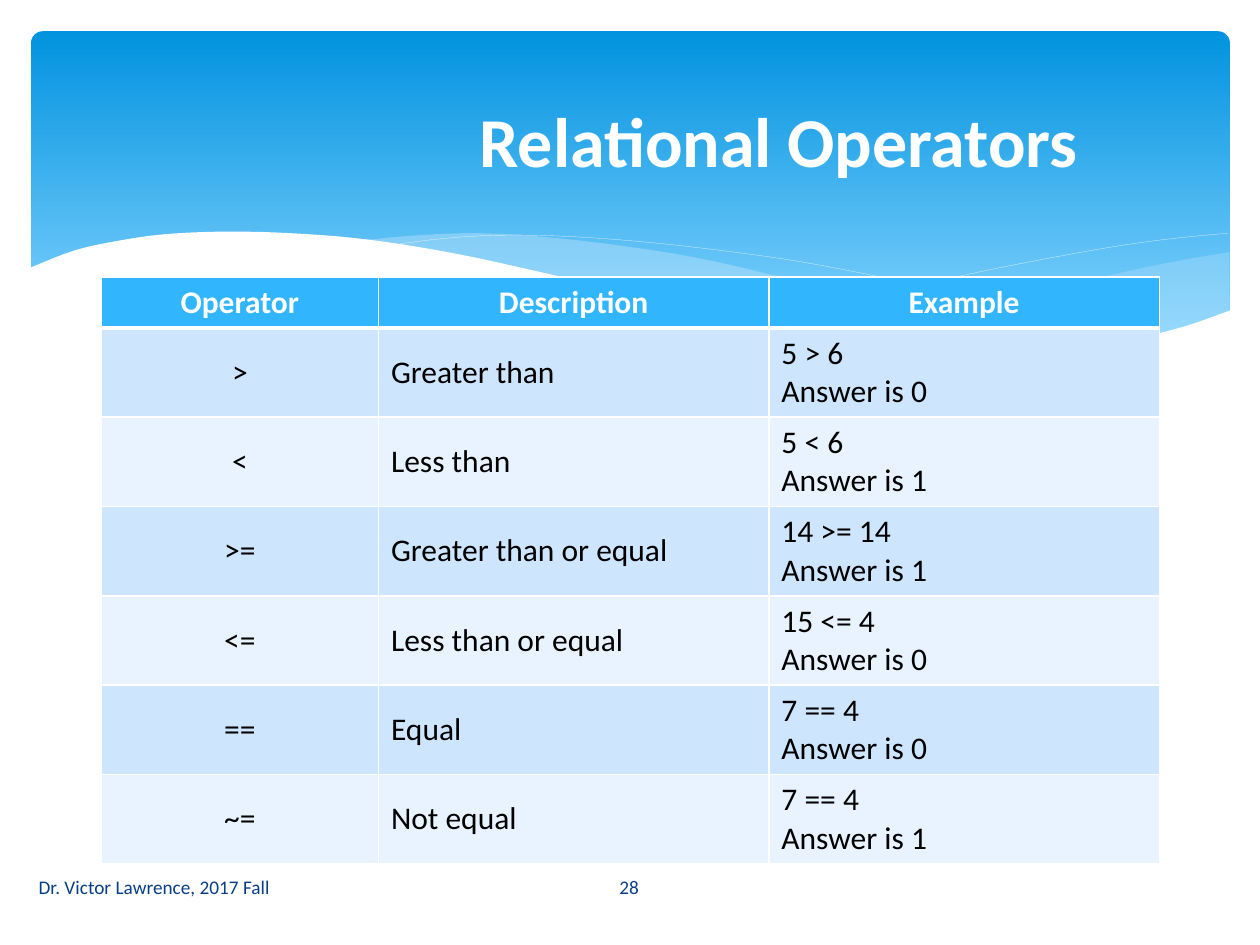
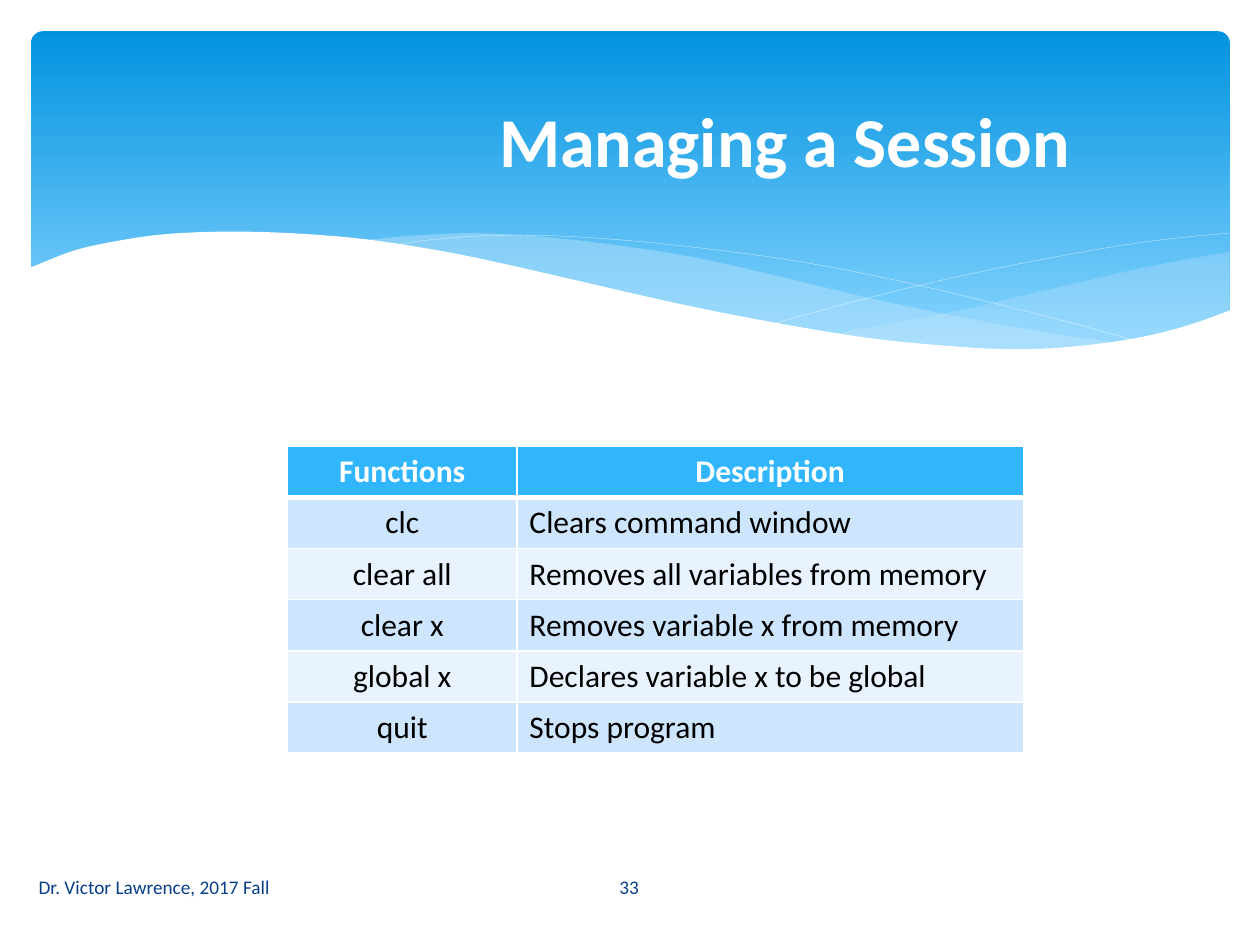
import dataclasses

import pptx
import pptx.dml.color
import pptx.enum.shapes
import pptx.enum.text
import pptx.oxml
import pptx.oxml.ns
import pptx.util

Cm = pptx.util.Cm
Pt = pptx.util.Pt
Rgb = pptx.dml.color.RGBColor.from_string
Align = pptx.enum.text.PP_ALIGN
Anchor = pptx.enum.text.MSO_ANCHOR
qn = pptx.oxml.ns.qn


@dataclasses.dataclass(frozen=True)
class Theme:
    font: str = "Calibri"
    title_size: int = 40
    table_size: int = 18
    footer_size: int = 11
    white: str = "FFFFFF"
    ink: str = "000000"
    footer: str = "073E87"
    band_top: str = "0293E0"
    band_bottom: str = "83D3FE"
    wave: str = "C6E7FC"
    header: str = "31B6FD"
    stripes: tuple = ("CEE5FE", "E8F3FF")


# Wave outlines: points in cm that a smooth curve runs through
RIGHT_WAVE_TOP = [
    (24.79, 5.08), (23.75, 5.26), (22.63, 5.49), (21.13, 5.84), (19.13, 6.3),
    (16.79, 6.73)]
RIGHT_WAVE_BOTTOM = [
    (16.79, 6.73), (17.55, 6.83), (18.59, 6.96), (19.53, 7.04), (20.68, 7.06),
    (21.92, 6.99), (22.99, 6.83), (23.93, 6.58), (24.79, 6.27)]
MIDDLE_WAVE_TOP = [
    (22.68, 6.93), (21.26, 6.73), (19.69, 6.45), (17.93, 6.1), (15.98, 5.64),
    (14.45, 5.28), (13.06, 5.03), (11.23, 4.8), (9.65, 4.7), (8.33, 4.75),
    (7.26, 4.85)]
MIDDLE_WAVE_BOTTOM = [
    (7.26, 4.85), (8.69, 5.05), (10.26, 5.36), (11.4, 5.64), (13.46, 6.1),
    (15.27, 6.48), (16.89, 6.76), (18.34, 6.96), (19.94, 7.06), (21.29, 7.06),
    (22.68, 6.93)]
FALLING_LINE = [
    (7.85, 4.95), (8.74, 4.83), (9.83, 4.75), (11, 4.75), (12.42, 4.83),
    (14.12, 5), (16.15, 5.28), (18.47, 5.74), (21.11, 6.38), (23.04, 6.91)]
RISING_LINE = [
    (15.57, 6.53), (17.65, 5.97), (19.71, 5.49), (22, 5.05), (23.47, 4.83),
    (24.77, 4.7)]
FRONT_WAVE_TOP = [
    (24.82, 6.25), (23.88, 6.58), (22.83, 6.83), (21.59, 6.99), (20.55, 7.04),
    (19.33, 6.99), (17.48, 6.81), (15.32, 6.45), (13.44, 6.07), (11.35, 5.59),
    (9.27, 5.13), (7.42, 4.83), (5.84, 4.7), (4.5, 4.67), (3.35, 4.72),
    (2.41, 4.85), (1.5, 5.05), (0.58, 5.41)]
FRONT_WAVE_BASE = [(0.58, 8.36), (24.82, 8.36)]


def smooth(knots, steps=5):
    """Return points on a Catmull-Rom curve through the knots."""
    padded = [knots[0], *knots, knots[-1]]
    curve = [knots[0]]
    for a, b, c, d in zip(padded, padded[1:], padded[2:], padded[3:]):
        for step in range(1, steps + 1):
            t = step / steps
            curve.append(tuple(
                (2 * q + (r - p) * t + (2 * p - 5 * q + 4 * r - s) * t ** 2
                 + (3 * q - p - 3 * r + s) * t ** 3) / 2
                for p, q, r, s in zip(a, b, c, d)))
    return curve


def write_text(frame, text, *, font, size, color, bold=False, align=Align.LEFT):
    """Fill a text frame, one paragraph for each line of text."""
    for index, line in enumerate(text.split("\n")):
        paragraph = frame.add_paragraph() if index else frame.paragraphs[0]
        paragraph.alignment = align
        run = paragraph.add_run()
        run.text = line
        run.font.name = font
        run.font.size = Pt(size)
        run.font.bold = bold
        run.font.color.rgb = Rgb(color)


class Deck:
    def __init__(self, theme):
        self.theme = theme
        self.presentation = pptx.Presentation()
        self.presentation.slide_width = Cm(25.4)
        self.presentation.slide_height = Cm(19.05)
        self.slide = None

    def new_slide(self, title, title_left, title_width, number):
        theme = self.theme
        self.slide = self.presentation.slides.add_slide(
            self.presentation.slide_layouts[6])
        self.banner()
        self.text(title, title_left, 1.07, title_width, 3.48,
                  size=theme.title_size, color=theme.white, bold=True,
                  align=Align.CENTER)
        footer = {"size": theme.footer_size, "color": theme.footer}
        self.text(str(number), 11.07, 17.37, 3.23, 1.02,
                  align=Align.CENTER, **footer)
        self.text("Dr. Victor Lawrence, 2017 Fall", 0.53, 17.37, 10.52, 1.02,
                  **footer)

    def text(self, text, left, top, width, height, **style):
        box = self.slide.shapes.add_textbox(
            Cm(left), Cm(top), Cm(width), Cm(height))
        box.text_frame.word_wrap = True
        box.text_frame.vertical_anchor = Anchor.MIDDLE
        write_text(box.text_frame, text, font=self.theme.font, **style)

    def banner(self):
        theme = self.theme
        # Gradient band
        band = self.slide.shapes.add_shape(
            pptx.enum.shapes.MSO_SHAPE.ROUNDED_RECTANGLE,
            Cm(0.63), Cm(0.63), Cm(24.16), Cm(6.86))
        band.adjustments[0] = 0.034
        band.shadow.inherit = False
        band.line.fill.background()
        band.fill.gradient()
        band.fill.gradient_angle = 270
        for stop, position, color in zip(band.fill.gradient_stops, (0, 0.9),
                                         (theme.band_top, theme.band_bottom)):
            stop.position = position
            stop.color.rgb = Rgb(color)
        # Waves along its lower edge
        self.wave(smooth(RIGHT_WAVE_TOP) + smooth(RIGHT_WAVE_BOTTOM),
                  theme.wave, opacity=29)
        self.wave(smooth(MIDDLE_WAVE_TOP) + smooth(MIDDLE_WAVE_BOTTOM),
                  theme.wave, opacity=40)
        for line in (FALLING_LINE, RISING_LINE):
            self.curve(smooth(line), theme.white)
        self.wave(smooth(FRONT_WAVE_TOP) + FRONT_WAVE_BASE, theme.white)

    def outline(self, points, close):
        start, *rest = [(Cm(x), Cm(y)) for x, y in points]
        builder = self.slide.shapes.build_freeform(*start)
        builder.add_line_segments(rest, close=close)
        shape = builder.convert_to_shape()
        shape.shadow.inherit = False
        return shape

    def wave(self, points, color, opacity=100):
        shape = self.outline(points, close=True)
        shape.line.fill.background()
        shape.fill.solid()
        shape.fill.fore_color.rgb = Rgb(color)
        if opacity < 100:
            tint = shape.fill._xPr.find(f".//{qn('a:srgbClr')}")
            alpha = pptx.oxml.parse_xml(
                f'<a:alpha {pptx.oxml.ns.nsdecls("a")} val="{opacity * 1000}"/>')
            tint.append(alpha)

    def curve(self, points, color):
        shape = self.outline(points, close=False)
        shape.fill.background()
        shape.line.color.rgb = Rgb(color)
        shape.line.width = Pt(0.1)

    def table(self, rows, left, top, widths, body_height):
        theme = self.theme
        header_height = 1.03
        heights = [header_height] + [body_height] * (len(rows) - 1)
        table = self.slide.shapes.add_table(
            len(rows), len(widths), Cm(left), Cm(top),
            Cm(sum(widths)), Cm(sum(heights))).table
        table.horz_banding = False
        for column, width in zip(table.columns, widths):
            column.width = Cm(width)
        for r, (entries, height) in enumerate(zip(rows, heights)):
            table.rows[r].height = Cm(height)
            header = r == 0
            for c, entry in enumerate(entries):
                cell = table.cell(r, c)
                cell.vertical_anchor = Anchor.TOP if header else Anchor.MIDDLE
                cell.fill.solid()
                cell.fill.fore_color.rgb = Rgb(
                    theme.header if header else theme.stripes[(r - 1) % 2])
                self.borders(cell, top=3 if r == 1 else 1,
                             bottom=3 if header else 1)
                write_text(
                    cell.text_frame, entry, font=theme.font,
                    size=theme.table_size, bold=header,
                    color=theme.white if header else theme.ink,
                    align=Align.CENTER if header or c == 0 else Align.LEFT)

    def borders(self, cell, top, bottom):
        properties = cell._tc.get_or_add_tcPr()
        sides = {"lnL": 1, "lnR": 1, "lnT": top, "lnB": bottom}
        for index, (side, width) in enumerate(sides.items()):
            properties.insert(index, pptx.oxml.parse_xml(
                f'<a:{side} {pptx.oxml.ns.nsdecls("a")} w="{Pt(width)}">'
                f'<a:solidFill><a:srgbClr val="{self.theme.white}"/>'
                f'</a:solidFill></a:{side}>'))


def main():
    deck = Deck(Theme())

    # Relational operators
    deck.new_slide("Relational Operators", 6.99, 17.42, 28)
    operators = [
        ("Operator", "Description", "Example"),
        (">", "Greater than", "5 > 6\nAnswer is 0"),
        ("<", "Less than", "5 < 6\nAnswer is 1"),
        (">=", "Greater than or equal", "14 >= 14\nAnswer is 1"),
        ("<=", "Less than or equal", "15 <= 4\nAnswer is 0"),
        ("==", "Equal", "7 == 4\nAnswer is 0"),
        ("~=", "Not equal", "7 == 4\nAnswer is 1"),
    ]
    deck.table(operators, 2.04, 5.58, (5.59, 7.87, 7.87), body_height=1.8)

    # Session functions
    deck.new_slide("Managing a Session", 7.21, 17.22, 33)
    session_functions = [
        ("Functions", "Description"),
        ("clc", "Clears command window"),
        ("clear all", "Removes all variables from memory"),
        ("clear x", "Removes variable x from memory"),
        ("global x", "Declares variable x to be global"),
        ("quit", "Stops program"),
    ]
    deck.table(session_functions, 5.8, 9, (4.62, 10.21), body_height=1.03)

    deck.presentation.save("out.pptx")


if __name__ == "__main__":
    main()
